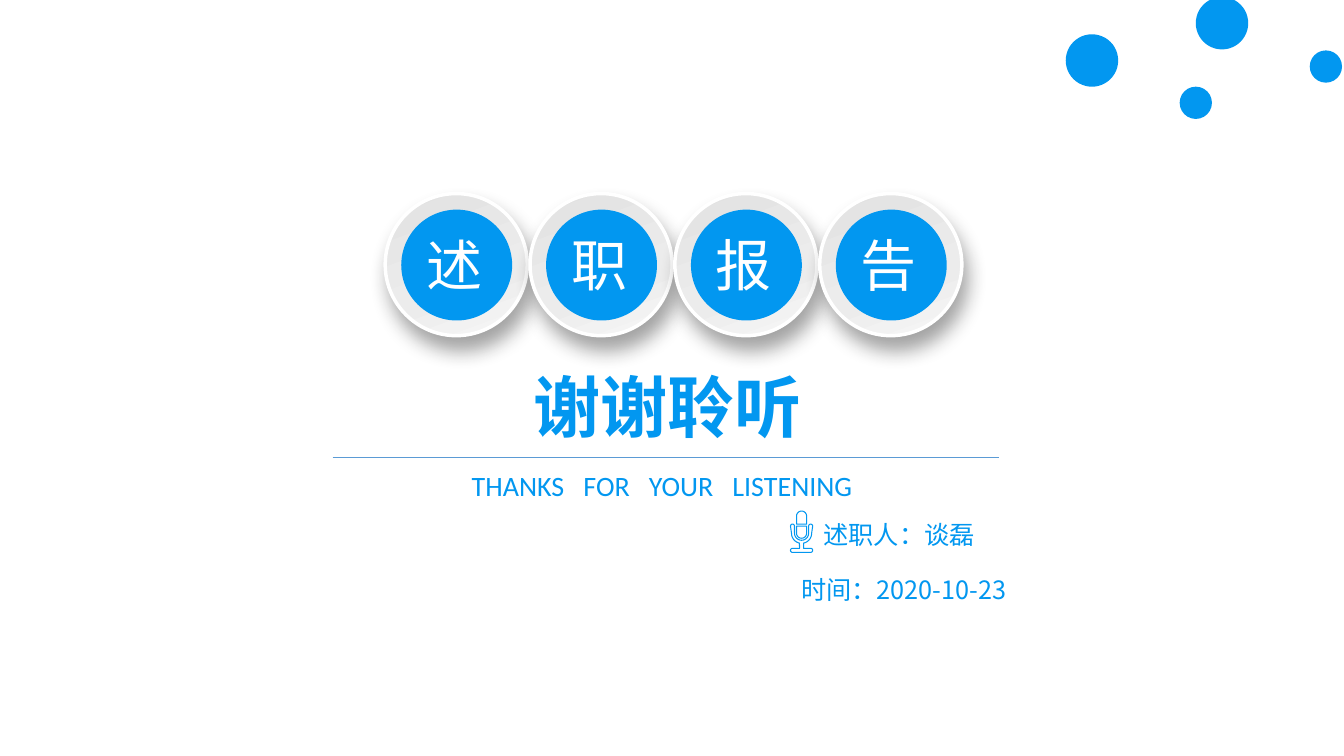
from math import cos, radians, sin

from pptx import Presentation
from pptx.dml.color import RGBColor
from pptx.enum.shapes import MSO_CONNECTOR, MSO_SHAPE
from pptx.enum.text import MSO_AUTO_SIZE
from pptx.oxml import parse_xml
from pptx.oxml.ns import nsdecls, qn
from pptx.util import Inches, Pt

OVAL = MSO_SHAPE.OVAL
DONUT = MSO_SHAPE.DONUT
STRAIGHT = MSO_CONNECTOR.STRAIGHT
GROW = MSO_AUTO_SIZE.SHAPE_TO_FIT_TEXT
BLUE, WHITE = "0297F0", "FFFFFF"
CJK, LATIN = "Noto Sans CJK SC", "Calibri"
RING_STOPS = [(0, "E2E2E2"), (63, "ECECEC"), (100, "F7F7F7")]


def rgb(value):
    """Turn a hex string into a colour."""
    return RGBColor.from_string(value)


def add_text(shapes, area, words, size, color, font=CJK, bold=False, gap=0):
    """Add a one-line text box, with widened single spaces between words."""
    box = shapes.add_textbox(*map(Inches, area))
    frame = box.text_frame
    frame.word_wrap = True
    frame.auto_size = GROW
    para = frame.paragraphs[0]
    for index, word in enumerate(words):
        for text in ([" ", word] if index else [word]):
            span = para.add_run()
            span.text = text
            span.font.size = Pt(size)
            span.font.name = font
            span.font.bold = bold
            span.font.color.rgb = rgb(color)
            properties = span._r.get_or_add_rPr()
            if text == " ":
                properties.set("spc", str(gap * 100))
            east_asian = parse_xml(f'<a:ea {nsdecls("a")} typeface="{font}"/>')
            properties.find(qn("a:latin")).addnext(east_asian)


def add_round(shapes, kind, left, top, size, color):
    """Add a plain round shape in one colour."""
    shape = shapes.add_shape(kind, *map(Inches, (left, top, size, size)))
    shape.shadow.inherit = False
    shape.fill.solid()
    shape.fill.fore_color.rgb = rgb(color)
    shape.line.fill.background()
    return shape


def style_ring(ring):
    """Give a ring its grey gradient, pale edge and soft shadow."""
    ring.line.color.rgb = rgb(WHITE)
    ring.line.width = Pt(2.5)
    stops = "".join(
        f'<a:gs pos="{place * 1000}"><a:srgbClr val="{color}"/></a:gs>'
        for place, color in RING_STOPS
    )
    gradient = parse_xml(
        f'<a:gradFill {nsdecls("a")} rotWithShape="1"><a:gsLst>{stops}</a:gsLst>'
        '<a:lin ang="4200000" scaled="0"/></a:gradFill>'
    )
    properties = ring._element.spPr
    properties.replace(properties.find(qn("a:solidFill")), gradient)
    properties.find(qn("a:effectLst")).append(parse_xml(
        f'<a:outerShdw {nsdecls("a")} blurRad="{Pt(14)}" dist="{Pt(10)}" '
        'dir="4200000" algn="t" rotWithShape="0"><a:srgbClr val="1A1A1A">'
        '<a:alpha val="40000"/></a:srgbClr></a:outerShdw>'
    ))


def add_badge(shapes, left, top, character):
    """Add one title character on a blue disc in a raised ring."""
    members = shapes.add_group_shape().shapes
    style_ring(add_round(members, OVAL, left, top, 1.41, WHITE))
    add_round(members, OVAL, left + 0.16, top + 0.16, 1.1, BLUE)
    add_text(members, (left + 0.31, top + 0.32, 0.73, 0.77), [character], 40, WHITE)


def add_dot(shapes, left, top, size):
    """Add a blue corner dot with its thin rim."""
    members = shapes.add_group_shape().shapes
    rim = add_round(members, DONUT, left, top, size, BLUE)
    rim.adjustments[0] = 0.05
    inset = size * 0.03
    add_round(members, OVAL, left + inset, top + inset, size - 2 * inset, BLUE)


def add_rule(shapes, left, right, top):
    """Add the thin rule under the headline."""
    rule = shapes.add_connector(STRAIGHT, *map(Inches, (left, top, right, top)))
    rule.line.color.rgb = rgb("5B9BD5")
    rule.line.width = Pt(0.5)
    rule._element.spPr.append(parse_xml(f'<a:effectLst {nsdecls("a")}/>'))


def arc(x, y, radius, start, end, steps=12):
    """List points along an arc, with angles clockwise from the right."""
    angles = [radians(start + (end - start) * i / steps) for i in range(steps + 1)]
    return [(x + radius * cos(a), y + radius * sin(a)) for a in angles]


def add_microphone(shapes):
    """Add the outlined microphone icon."""
    middle, bend = 7.95, 5.29
    cup = [(7.9, 5.22), (8, 5.22)] + arc(middle, bend, 0.05, 0, 180)
    stand = (
        arc(middle, bend, 0.07, 180, 0)
        + arc(8.04, 5.22, 0.02, 180, 360)
        + arc(middle, bend, 0.1, 0, 78)
        + [(7.97, 5.44)]
        + arc(8.04, 5.46, 0.02, -90, 90)
        + arc(7.86, 5.46, 0.02, 90, 270)
        + [(7.93, 5.44)]
        + arc(middle, bend, 0.1, 102, 180)
        + arc(7.86, 5.22, 0.02, 180, 360)
    )
    head = arc(middle, 5.12, 0.05, 180, 360) + [(8, 5.2), (7.9, 5.2)]
    builder = None
    for outline in (cup, stand, head):
        first, *rest = [(Inches(x), Inches(y)) for x, y in outline]
        if builder is None:
            builder = shapes.build_freeform(*first)
        else:
            builder.move_to(*first)
        builder.add_line_segments(rest, close=True)
    icon = builder.convert_to_shape()
    icon.shadow.inherit = False
    icon.fill.solid()
    icon.fill.fore_color.rgb = rgb(WHITE)
    icon.line.color.rgb = rgb(BLUE)
    icon.line.width = Pt(0.75)


def main():
    """Build the closing slide and save it."""
    deck = Presentation()
    deck.slide_width, deck.slide_height = Inches(13.33), Inches(7.5)
    page = deck.slides.add_slide(deck.slide_layouts[6])
    shapes = page.shapes

    add_text(shapes, (5.19, 3.57, 2.95, 0.91), ["谢谢聆听"], 48, BLUE, bold=True)
    for index, character in enumerate("述职报告"):
        add_badge(shapes, 3.82 + index * 4.31 / 3, 1.92, character)
    add_rule(shapes, 3.3, 9.91, 4.54)
    add_text(shapes, (4.58, 4.6, 4.17, 0.44),
             ["THANKS", "FOR", "YOUR", "LISTENING"], 20, BLUE, font=LATIN, gap=9)
    add_text(shapes, (7.85, 5.65, 3.23, 0.4), ["时间：2020-10-23"], 18, BLUE)
    add_text(shapes, (8.07, 5.1, 2.24, 0.4), ["述职人：谈磊"], 18, BLUE)
    add_microphone(shapes)
    for left, top, size in [(10.57, 0.34, 0.52), (11.7, 0.86, 0.32),
                            (11.86, -0.03, 0.52), (12.99, 0.5, 0.32)]:
        add_dot(shapes, left, top, size)

    deck.save("out.pptx")


if __name__ == "__main__":
    main()
